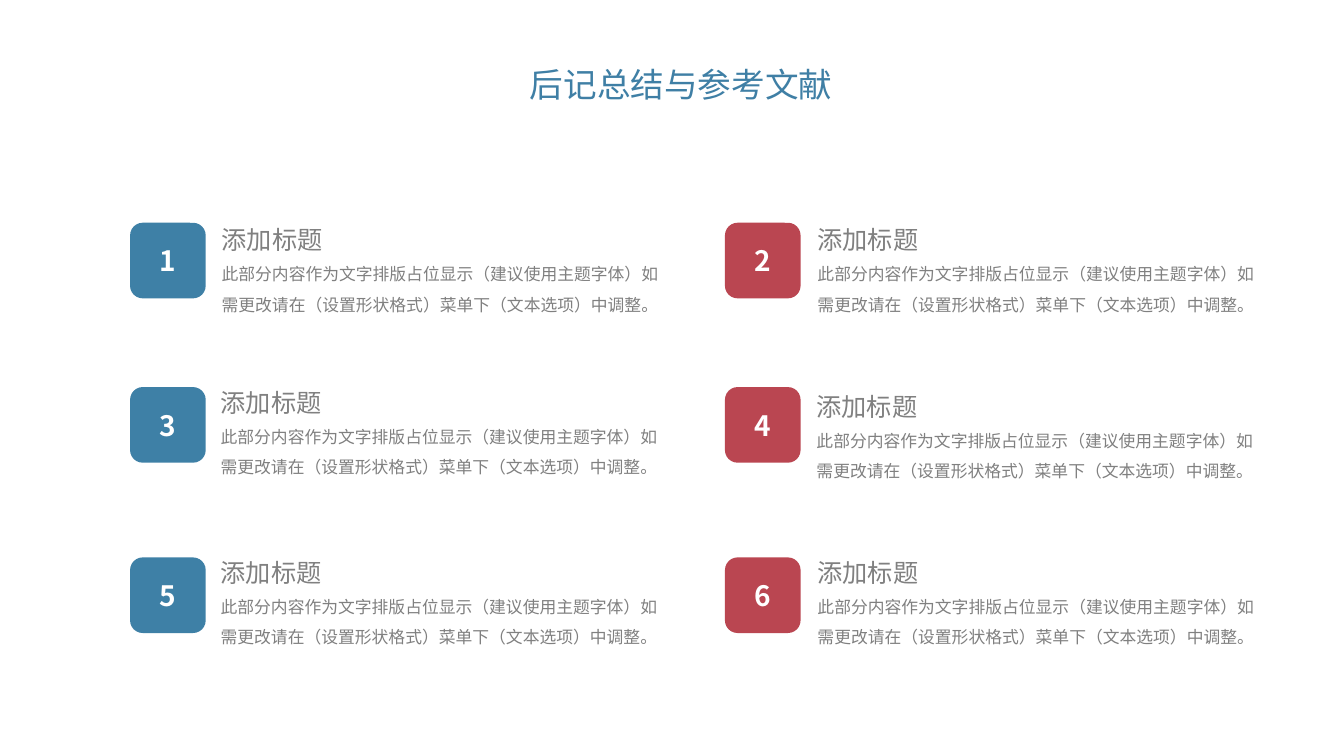
"""Build the closing slide with six numbered notes."""
from typing import NamedTuple

import lxml.etree
import pptx
import pptx.dml.color
import pptx.enum.shapes
import pptx.enum.text
import pptx.oxml.ns
import pptx.shapes.shapetree
import pptx.slide
import pptx.text.text
import pptx.util

Inches = pptx.util.Inches
Align = pptx.enum.text.PP_ALIGN
Anchor = pptx.enum.text.MSO_ANCHOR

COLOURS = {
    "title": "3F7FA5",
    "blue": "3E80A6",
    "red": "BA4651",
    "grey": "808080",
    "white": "FFFFFF",
}
FONT = "Noto Sans CJK SC"
TITLE = "后记总结与参考文献"
HEADING = "添加标题"
BODY = "此部分内容作为文字排版占位显示（建议使用主题字体）如需更改请在（设置形状格式）菜单下（文本选项）中调整。"
BADGE_SIZE = 0.75
COLUMN_LEFTS = (1.29, 7.19)
COLUMN_COLOURS = ("blue", "red")
ROW_TOPS = (2.21, 3.84, 5.53)


class Style(NamedTuple):
    size: float
    colour: str
    bold: bool = False
    align: Align = Align.LEFT
    anchor: Anchor = Anchor.TOP
    spacing: float = 1.0


class Note(NamedTuple):
    number: int
    text_left: float
    heading_top: float


TITLE_STYLE = Style(24, "title", align=Align.CENTER, anchor=Anchor.MIDDLE)
BADGE_STYLE = Style(20, "white", True, Align.CENTER, Anchor.MIDDLE)
HEADING_STYLE = Style(18, "grey", anchor=Anchor.MIDDLE, spacing=1.5)
BODY_STYLE = Style(12, "grey", spacing=1.5)

NOTES = (
    Note(1, 2.1, 2.05),
    Note(2, 8.01, 2.05),
    Note(3, 2.09, 3.66),
    Note(4, 8, 3.7),
    Note(5, 2.09, 5.35),
    Note(6, 8.01, 5.35),
)


def rgb(name: str) -> pptx.dml.color.RGBColor:
    return pptx.dml.color.RGBColor.from_string(COLOURS[name])


def write(frame: pptx.text.text.TextFrame, text: str, style: Style) -> None:
    frame.word_wrap = True
    frame.auto_size = pptx.enum.text.MSO_AUTO_SIZE.NONE
    frame.vertical_anchor = style.anchor
    para = frame.paragraphs[0]
    para.alignment = style.align
    para.line_spacing = style.spacing
    span = para.add_run()
    span.text = text
    span.font.size = pptx.util.Pt(style.size)
    span.font.bold = style.bold
    span.font.color.rgb = rgb(style.colour)
    span.font.name = FONT
    properties = span.font._element
    lxml.etree.SubElement(properties, pptx.oxml.ns.qn("a:ea"), typeface=FONT)


def add_text(shapes: pptx.shapes.shapetree.GroupShapes, place: tuple[float, ...],
             text: str, style: Style) -> None:
    box = shapes.add_textbox(*map(Inches, place))
    write(box.text_frame, text, style)


def add_title(page: pptx.slide.Slide) -> None:
    title = page.shapes.title
    title.left, title.top = Inches(0.4), Inches(0.53)
    title.width, title.height = Inches(12.71), Inches(0.6)
    write(title.text_frame, TITLE, TITLE_STYLE)


def add_note(page: pptx.slide.Slide, note: Note) -> None:
    row, column = divmod(note.number - 1, len(COLUMN_LEFTS))
    badge = page.shapes.add_shape(
        pptx.enum.shapes.MSO_SHAPE.ROUNDED_RECTANGLE,
        Inches(COLUMN_LEFTS[column]), Inches(ROW_TOPS[row]),
        Inches(BADGE_SIZE), Inches(BADGE_SIZE))
    badge.shadow.inherit = False
    badge.fill.solid()
    badge.fill.fore_color.rgb = rgb(COLUMN_COLOURS[column])
    badge.line.fill.background()
    write(badge.text_frame, str(note.number), BADGE_STYLE)
    group = page.shapes.add_group_shape()
    add_text(group.shapes, (note.text_left, note.heading_top + 0.42, 4.67, 0.67),
             BODY, BODY_STYLE)
    add_text(group.shapes, (note.text_left, note.heading_top, 3.8, 0.51),
             HEADING, HEADING_STYLE)


def main() -> None:
    deck = pptx.Presentation()
    deck.slide_width, deck.slide_height = Inches(13.33), Inches(7.5)
    page = deck.slides.add_slide(deck.slide_layouts.get_by_name("Title Only"))
    add_title(page)
    for note in NOTES:
        add_note(page, note)
    deck.save("out.pptx")


if __name__ == "__main__":
    main()
